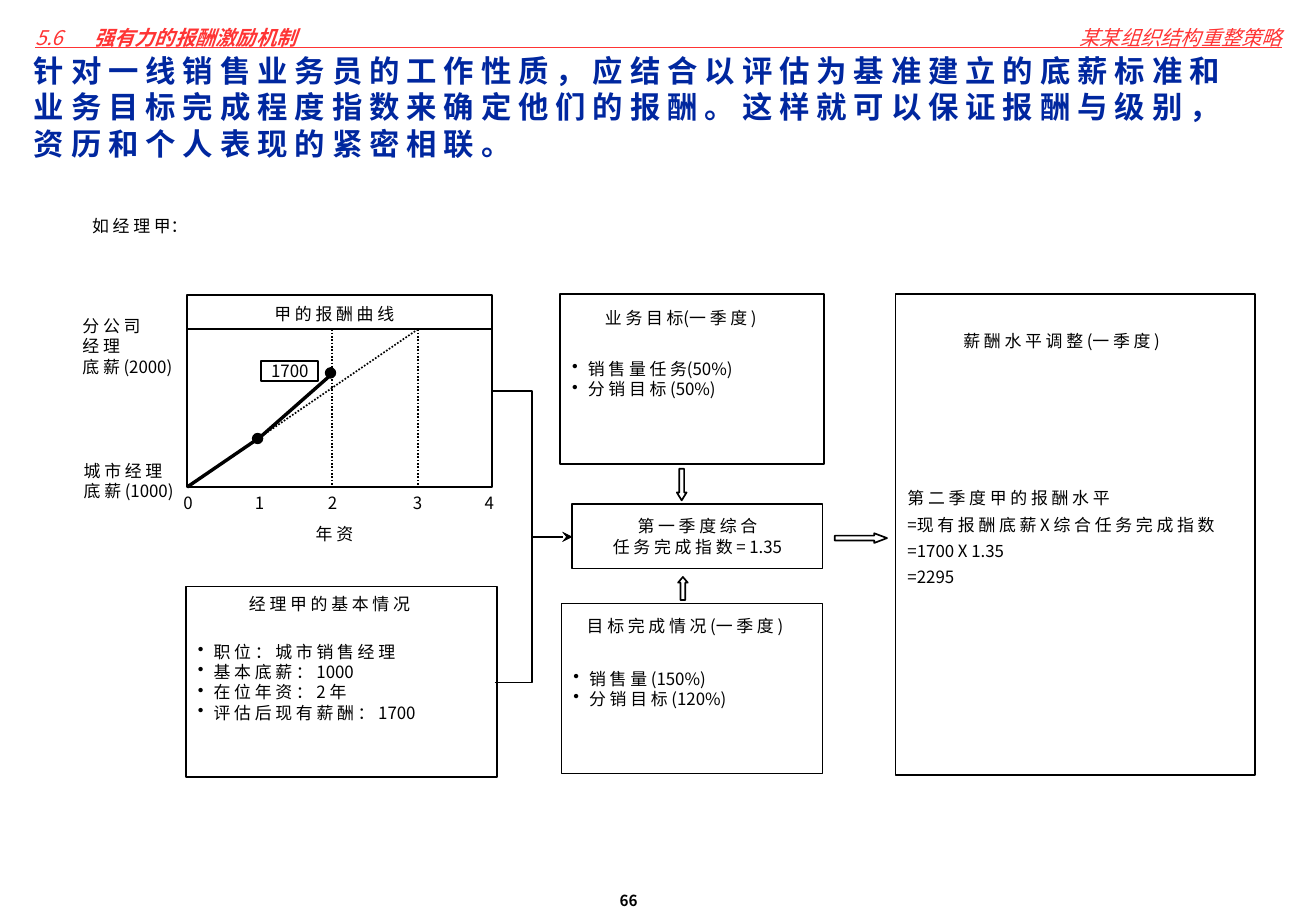
import pptx
import pptx.dml.color
import pptx.enum.dml
import pptx.enum.shapes
import pptx.enum.text
import pptx.oxml.ns
import pptx.util
import lxml.etree

PX = 9144
FONT = "Noto Sans CJK SC"
BLACK, WHITE, RED, NAVY = "000000", "FFFFFF", "FF3434", "00279F"
KIND = pptx.enum.shapes.MSO_SHAPE
ALIGN = pptx.enum.text.PP_ALIGN
ANCHOR = pptx.enum.text.MSO_ANCHOR
FIT = pptx.enum.text.MSO_AUTO_SIZE


def px(n):
    return pptx.util.Emu(n * PX)


def color(value):
    return pptx.dml.color.RGBColor.from_string(value)


def child(parent, tag, **attrs):
    return lxml.etree.SubElement(parent, pptx.oxml.ns.qn(tag), attrs)


class Slide:
    def __init__(self, prs):
        self.s = prs.slides.add_slide(prs.slide_layouts[6])

    def set_lines(self, tf, lines, size=10, hue=BLACK, bold=False, italic=False, align=ALIGN.LEFT,
                  bullet=False, spacing=None, tab=None, inset=(10, 5), wrap=False):
        tf.word_wrap = wrap
        tf.margin_left = tf.margin_right = px(inset[0])
        tf.margin_top = tf.margin_bottom = px(inset[1])
        for i, line in enumerate(lines):
            p = tf.add_paragraph() if i else tf.paragraphs[0]
            p.alignment = align
            if spacing:
                p.line_spacing = spacing
            pPr = p._p.get_or_add_pPr()
            if bullet:
                pPr.set("marL", str(px(13)))
                pPr.set("indent", str(px(-13)))
                child(pPr, "a:buChar", char="•")
            if tab:
                child(child(pPr, "a:tabLst"), "a:tab", pos=str(px(tab)), algn="l")
            r = p.add_run()
            r.text = line
            p.font.size = pptx.util.Pt(size)
            p.font.bold = bold
            p.font.italic = italic
            p.font.color.rgb = color(hue)
            p.font.name = FONT
            child(pPr.find(pptx.oxml.ns.qn("a:defRPr")), "a:ea", typeface=FONT)

    def text(self, x, y, w, h, lines, **style):
        tf = self.s.shapes.add_textbox(px(x), px(y), px(w), px(h)).text_frame
        self.set_lines(tf, lines, **style)
        return tf

    def label(self, x, y, w, *lines):
        tf = self.text(x, y, w, 10 + 17 * len(lines), lines)
        tf.auto_size = FIT.SHAPE_TO_FIT_TEXT

    def outline(self, sp):
        sp.line.color.rgb = color(BLACK)
        sp.line.width = pptx.util.Pt(1)

    def shape(self, kind, x, y, w, h, fill=WHITE, adj=()):
        sp = self.s.shapes.add_shape(kind, px(x), px(y), px(w), px(h))
        for i, value in enumerate(adj):
            sp.adjustments[i] = value
        sp.shadow.inherit = False
        sp.fill.solid()
        sp.fill.fore_color.rgb = color(fill)
        self.outline(sp)
        return sp

    def box(self, x, y, w, h, lines=(), **style):
        sp = self.shape(KIND.RECTANGLE, x, y, w, h)
        sp.text_frame.vertical_anchor = ANCHOR.MIDDLE
        self.set_lines(sp.text_frame, lines, **style)

    def line(self, x1, y1, x2, y2, hue=BLACK, width=1, dotted=False):
        straight = pptx.enum.shapes.MSO_CONNECTOR.STRAIGHT
        sp = self.s.shapes.add_connector(straight, px(x1), px(y1), px(x2), px(y2))
        sp.line.color.rgb = color(hue)
        sp.line.width = pptx.util.Pt(width)
        if dotted:
            sp.line.dash_style = pptx.enum.dml.MSO_LINE.ROUND_DOT
        child(sp._element.spPr, "a:effectLst")

    def elbow(self, start, *points):
        builder = self.s.shapes.build_freeform(*start, scale=PX)
        builder.add_line_segments(points, close=False)
        sp = builder.convert_to_shape()
        sp.shadow.inherit = False
        sp.fill.background()
        self.outline(sp)
        ln = sp._element.spPr.find(pptx.oxml.ns.qn("a:ln"))
        child(ln, "a:tailEnd", type="stealth")


def header(s):
    s.line(29, 39, 1055, 39, RED)
    style = dict(size=12, hue=RED, italic=True, inset=(10, 10), wrap=True)
    tf = s.text(19, 11, 343, 40, ["5.6\t "], tab=45, **style)
    r = tf.paragraphs[0].add_run()
    r.text = "强有力的报酬激励机制"
    r.font.bold = True
    s.text(761, 11, 304, 40, ["某某组织结构重整策略"], align=ALIGN.RIGHT, **style)
    title = ("针 对 一 线 销 售 业 务 员 的 工 作 性 质 ， 应 结 合 以 评 估 为 基 准 建 立 的 底 薪 标 准 和 "
             "业 务 目 标 完 成 程 度 指 数 来 确 定 他 们 的 报 酬 。 这 样 就 可 以 保 证 报 酬 与 级 别 ， "
             "资 历 和 个 人 表 现 的 紧 密 相 联 。")
    s.text(18, 33, 998, 104, [title], size=18, hue=NAVY, bold=True, inset=(10, 10), wrap=True)
    s.text(510, 734, 65, 17, ["66"], size=9, bold=True, inset=(0, 0))


def pay_curve(s):
    left, right, top, bottom = 154, 405, 271, 401
    s.box(left, 243, right - left, 158)
    s.line(left, top, right, top)
    s.line(left, bottom, 344, top, dotted=True)
    for x in (344, 273):
        s.line(x, top, x, bottom, dotted=True)
    for year, x in enumerate((141, 200, 260, 330, 389)):
        s.label(x, bottom, 28, str(year))
    s.label(250, 426, 55, "年 资")
    s.label(59, 374, 98, "城 市 经 理", "底 薪 (1000)")
    s.label(58, 255, 99, "分 公 司", "经 理", "底 薪 (2000)")
    s.label(216, 245, 124, "甲 的 报 酬 曲 线")
    s.line(left, bottom, 214, 360, width=2)
    s.line(214, 360, 273, 308, width=2)
    s.box(215, 297, 47, 17, ["1700"], align=ALIGN.CENTER)
    for x, y in ((268, 303), (208, 357)):
        s.shape(KIND.OVAL, x, y, 8, 8, fill=BLACK)


def flow(s):
    s.box(153, 483, 256, 157, ["职 位 ： 城 市 销 售 经 理", "基 本 底 薪 ： 1000",
                               "在 位 年 资 ： 2 年", "评 估 后 现 有 薪 酬 ： 1700"], bullet=True)
    s.label(195, 484, 159, "经 理 甲 的 基 本 情 况")
    s.box(471, 415, 206, 53, ["第 一 季 度 综 合", "任 务 完 成 指 数 = 1.35"], align=ALIGN.CENTER)
    s.box(462, 497, 215, 140, ["销 售 量 (150%)", "分 销 目 标 (120%)"], bullet=True)
    s.label(473, 502, 197, "目 标 完 成 情 况 (一 季 度 )")
    s.box(461, 242, 217, 140, ["销 售 量 任 务(50%)", "分 销 目 标 (50%)"], bullet=True)
    s.label(488, 248, 162, "业 务 目 标(一 季 度 )")
    s.box(737, 242, 296, 396, ["第 二 季 度 甲 的 报 酬 水 平", "=现 有 报 酬 底 薪 X 综 合 任 务 完 成 指 数",
                               "=1700 X 1.35", "=2295"], spacing=1.3)
    s.label(783, 267, 197, "薪 酬 水 平 调 整 (一 季 度 )")
    s.shape(KIND.DOWN_ARROW, 557, 386, 8, 26, adj=(0.5, 0.81))
    s.shape(KIND.UP_ARROW, 558, 475, 8, 19, adj=(0.5, 0.59))
    s.shape(KIND.RIGHT_ARROW, 687, 439, 43, 8, adj=(0.5, 1.32))
    for x, y in ((405, 322), (407, 562)):
        s.elbow((x, y), (438, y), (438, 442), (471, 442))


def main():
    prs = pptx.Presentation()
    prs.slide_width, prs.slide_height = px(1083), px(750)
    s = Slide(prs)
    header(s)
    s.label(66, 173, 107, "如 经 理 甲：")
    pay_curve(s)
    flow(s)
    prs.save("out.pptx")


if __name__ == "__main__":
    main()
